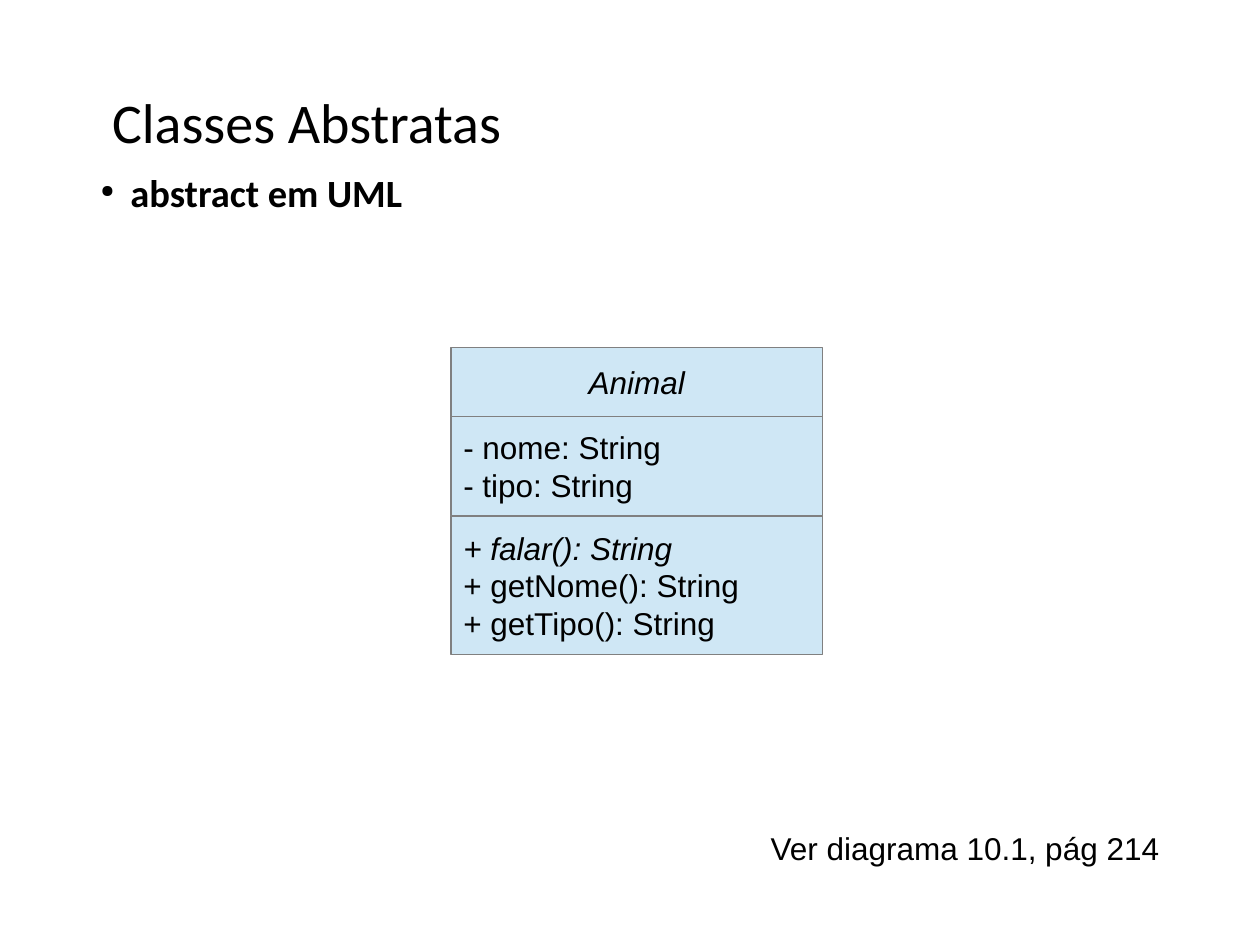
from dataclasses import dataclass

from lxml.etree import SubElement
from pptx import Presentation
from pptx.dml.color import RGBColor
from pptx.enum.shapes import MSO_SHAPE as Shape
from pptx.enum.text import MSO_ANCHOR as Anchor, PP_ALIGN as Align
from pptx.oxml.ns import qn
from pptx.util import Cm, Pt

BLACK, PALE_BLUE, GREY = "000000", "CFE7F5", "808080"


@dataclass(frozen=True)
class Line:
    text: str
    size: int = 18
    font: str = "Arial"
    bold: bool = False
    italic: bool = False
    align: Align = Align.LEFT


@dataclass(frozen=True)
class Compartment:
    height: float
    lines: tuple[Line, ...]


def rgb(value: str) -> RGBColor:
    return RGBColor.from_string(value)


def write(frame, lines: tuple[Line, ...], anchor: Anchor) -> None:
    frame.word_wrap = True
    frame.vertical_anchor = anchor
    for index, line in enumerate(lines):
        paragraph = frame.paragraphs[0] if index == 0 else frame.add_paragraph()
        paragraph.text = line.text
        paragraph.alignment = line.align
        font = paragraph.font
        font.name, font.size = line.font, Pt(line.size)
        font.bold, font.italic = line.bold, line.italic
        font.color.rgb = rgb(BLACK)


def add_text(slide, left: float, top: float, width: float, height: float,
             line: Line, anchor: Anchor = Anchor.MIDDLE):
    box = slide.shapes.add_textbox(Cm(left), Cm(top), Cm(width), Cm(height))
    write(box.text_frame, (line,), anchor)
    return box.text_frame


def add_bullet(paragraph, indent: float) -> None:
    props = paragraph._p.get_or_add_pPr()
    props.set("marL", str(Cm(indent)))
    props.set("indent", str(-Cm(indent)))
    color = SubElement(props, qn("a:buClr"))
    SubElement(color, qn("a:srgbClr"), val=BLACK)
    SubElement(props, qn("a:buSzPct"), val="45000")
    SubElement(props, qn("a:buChar"), char="●")


def add_class(slide, left: float, top: float, width: float,
              compartments: tuple[Compartment, ...]) -> None:
    for part in compartments:
        box = slide.shapes.add_shape(
            Shape.RECTANGLE, Cm(left), Cm(top), Cm(width), Cm(part.height))
        box.shadow.inherit = False
        box.fill.solid()
        box.fill.fore_color.rgb = rgb(PALE_BLUE)
        box.line.color.rgb = rgb(GREY)
        box.line.width = Pt(0)
        write(box.text_frame, part.lines, Anchor.MIDDLE)
        top += part.height


ANIMAL = (
    Compartment(1.39, (Line("Animal", italic=True, align=Align.CENTER),)),
    Compartment(2, (Line("- nome: String"), Line("- tipo: String"))),
    Compartment(2.8, (Line("+ falar(): String", italic=True),
                      Line("+ getNome(): String"),
                      Line("+ getTipo(): String"))),
)


def main() -> None:
    deck = Presentation()
    deck.slide_width, deck.slide_height = Cm(25.4), Cm(19.05)
    slide = deck.slides.add_slide(deck.slide_layouts[6])

    # Title
    add_text(slide, 2.01, 0.56, 21.59, 3.76,
             Line("Classes Abstratas", 32, "Calibri"))

    # Topic with bullet
    topic = add_text(slide, 2.03, 3.4, 18.95, 0.94,
                     Line("abstract em UML", 22, "Calibri", bold=True))
    topic.margin_left = topic.margin_right = 0
    topic.margin_top = topic.margin_bottom = 0
    topic.paragraphs[0].space_before = Pt(8)
    add_bullet(topic.paragraphs[0], 0.6)

    # Book reference
    add_text(slide, 11.99, 16.59, 11.63, 1.02,
             Line("Ver diagrama 10.1, pág 214", align=Align.RIGHT), Anchor.TOP)

    # UML class diagram
    add_class(slide, 9.09, 7.01, 7.49, ANIMAL)

    deck.save("out.pptx")


if __name__ == "__main__":
    main()
